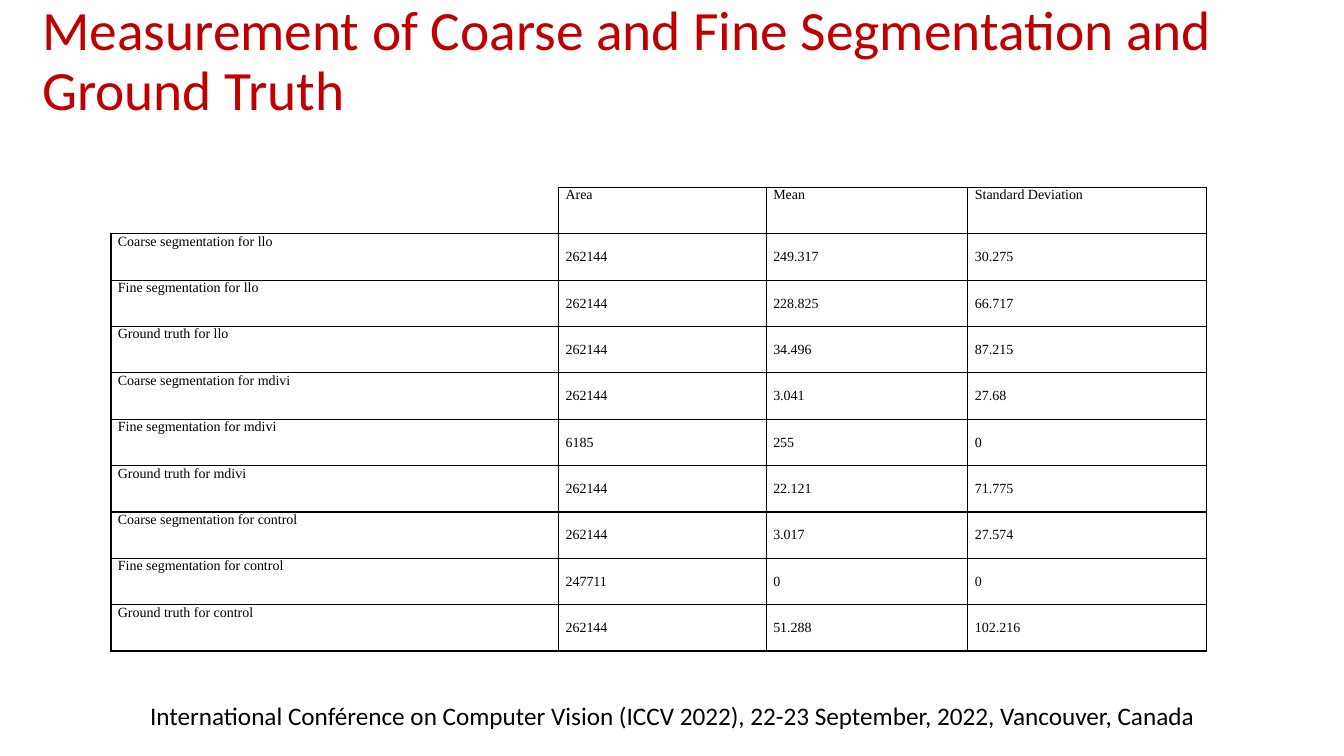
import pptx
import pptx.dml.color
import pptx.enum.text
import pptx.util
from lxml import etree
from pptx.oxml.ns import qn
from pptx.util import Inches, Pt

ANCHOR = pptx.enum.text.MSO_ANCHOR
ALIGN = pptx.enum.text.PP_ALIGN

TITLE = "Measurement of Coarse and Fine Segmentation and Ground Truth"
FOOTER = ("International Conférence on Computer Vision (ICCV 2022), "
          "22-23 September, 2022, Vancouver, Canada")
MEASUREMENTS = [
    ("", "Area", "Mean", "Standard Deviation"),
    ("Coarse segmentation for llo", "262144", "249.317", "30.275"),
    ("Fine segmentation for llo", "262144", "228.825", "66.717"),
    ("Ground truth for llo", "262144", "34.496", "87.215"),
    ("Coarse segmentation for mdivi", "262144", "3.041", "27.68"),
    ("Fine segmentation for mdivi", "6185", "255", "0"),
    ("Ground truth for mdivi", "262144", "22.121", "71.775"),
    ("Coarse segmentation for control", "262144", "3.017", "27.574"),
    ("Fine segmentation for control", "247711", "0", "0"),
    ("Ground truth for control", "262144", "51.288", "102.216"),
]
COLUMN_WIDTHS = [4.44, 2.06, 2, 2.37]
ROW_HEIGHT = 0.46
TABLE_LEFT, TABLE_TOP = 1.1, 1.86
BLACK, RED = "000000", "C00000"

TITLE_FORMAT = {"name": "Calibri", "size": Pt(39.6)}
FOOTER_FORMAT = {"name": "Calibri", "size": Pt(18)}
CELL_FORMAT = {"name": "Times New Roman", "size": Pt(10), "bold": False}
CELL_MARGINS = {"margin_left": Inches(0.07), "margin_right": Inches(0.07),
                "margin_top": 0, "margin_bottom": 0}


def color(hex_value):
    return pptx.dml.color.RGBColor.from_string(hex_value)


def apply(target, values):
    for name, value in values.items():
        setattr(target, name, value)


def write(text_frame, text, font_format, font_color, paragraph_format):
    paragraph = text_frame.paragraphs[0]
    apply(paragraph, paragraph_format)
    run = paragraph.add_run()
    run.text = text
    apply(run.font, font_format)
    run.font.color.rgb = color(font_color)


def add_text(slide, box, text, font_format, font_color, paragraph_format, frame_format):
    text_frame = slide.shapes.add_textbox(*map(Inches, box)).text_frame
    apply(text_frame, {"word_wrap": True, "vertical_anchor": ANCHOR.MIDDLE, **frame_format})
    write(text_frame, text, font_format, font_color, paragraph_format)


def set_borders(cell, visible_sides):
    """Draw 1 pt black lines on the given sides and none on the others."""
    properties = cell._tc.get_or_add_tcPr()
    for side in "LRTB":
        line = etree.SubElement(properties, qn(f"a:ln{side}"), w=str(Pt(1)))
        if side in visible_sides:
            fill = etree.SubElement(line, qn("a:solidFill"))
            etree.SubElement(fill, qn("a:srgbClr"), val=BLACK)
        else:
            etree.SubElement(line, qn("a:noFill"))


def add_measurements(slide):
    row_count, column_count = len(MEASUREMENTS), len(COLUMN_WIDTHS)
    box = (TABLE_LEFT, TABLE_TOP, sum(COLUMN_WIDTHS), ROW_HEIGHT * row_count)
    table = slide.shapes.add_table(row_count, column_count, *map(Inches, box)).table
    apply(table, {"first_row": False, "horz_banding": False})
    for column, width in zip(table.columns, COLUMN_WIDTHS):
        column.width = Inches(width)
    for row_index, values in enumerate(MEASUREMENTS):
        table.rows[row_index].height = Inches(ROW_HEIGHT)
        for column_index, value in enumerate(values):
            cell = table.cell(row_index, column_index)
            is_number = row_index > 0 and column_index > 0
            apply(cell, CELL_MARGINS)
            cell.vertical_anchor = ANCHOR.MIDDLE if is_number else ANCHOR.TOP
            set_borders(cell, "LRTB" if value else "RB")
            cell.fill.background()
            if value:
                write(cell.text_frame, value, CELL_FORMAT, BLACK, {})


def main():
    presentation = pptx.Presentation()
    apply(presentation, {"slide_width": Inches(13.33), "slide_height": Inches(7.5)})
    slide = presentation.slides.add_slide(presentation.slide_layouts[6])
    add_text(slide, (1.17, 6.9, 11, 0.4), FOOTER, FOOTER_FORMAT, BLACK,
             {"alignment": ALIGN.CENTER}, {})
    add_text(slide, (0.32, 0.2, 12.16, 1.44), TITLE, TITLE_FORMAT, RED,
             {"line_spacing": 0.9}, {"margin_bottom": Inches(0.65)})
    add_measurements(slide)
    presentation.save("out.pptx")


if __name__ == "__main__":
    main()
